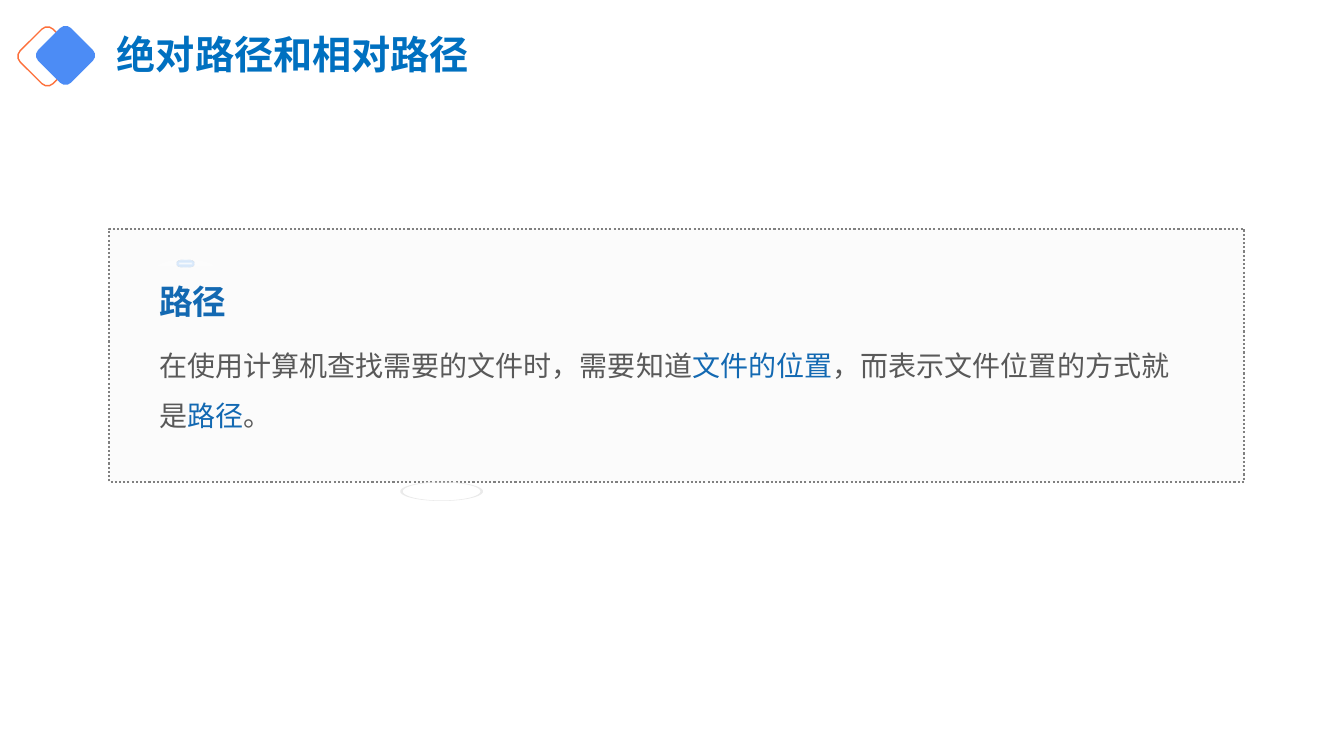
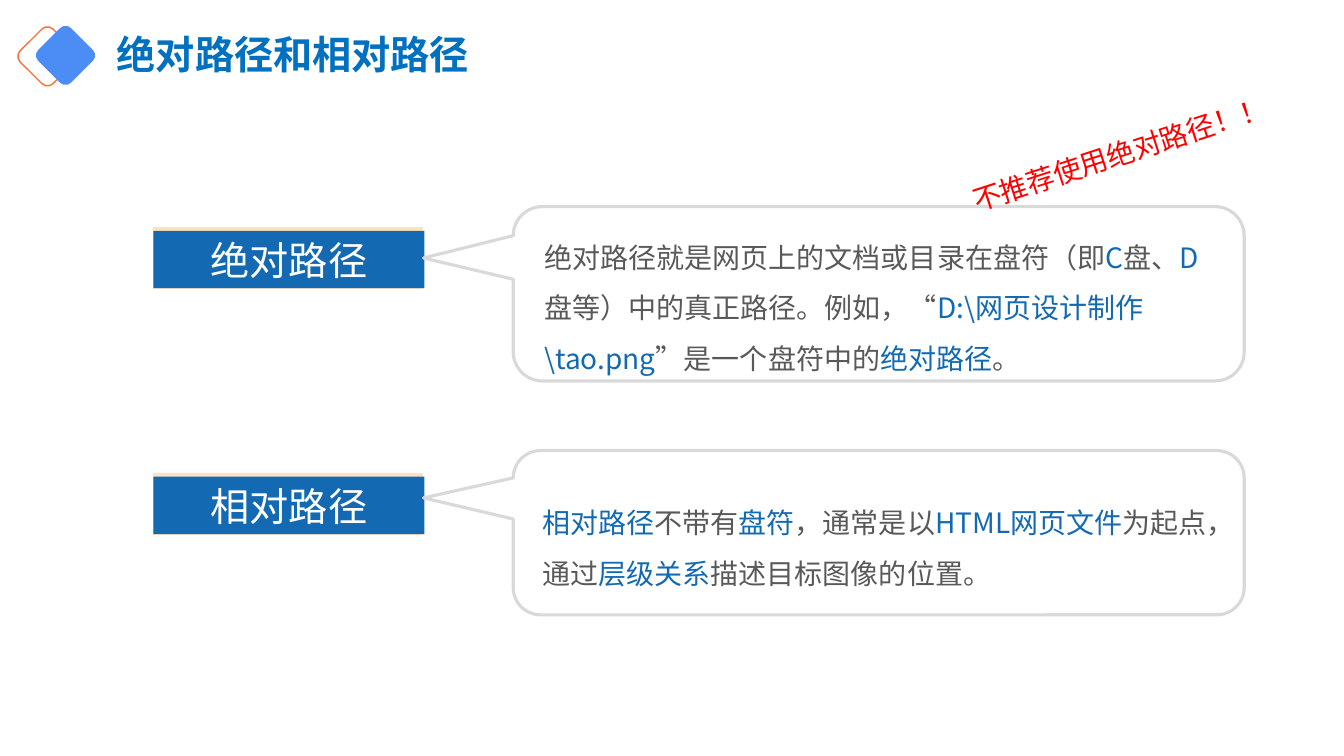
from math import cos, pi, sin

from pptx import Presentation
from pptx.dml.color import RGBColor
from pptx.enum.dml import MSO_LINE
from pptx.enum.lang import MSO_LANGUAGE_ID as Lang
from pptx.enum.shapes import MSO_SHAPE as Preset
from pptx.enum.text import MSO_ANCHOR as Anchor, PP_ALIGN as Align
from pptx.oxml import parse_xml
from pptx.oxml.ns import nsdecls, qn
from pptx.util import Pt

PX = 9144  # EMU per px, 100 px to the inch
FONT = "Noto Sans CJK SC"
TITLE = "绝对路径和相对路径"

TITLE_BLUE = RGBColor(0x00, 0x70, 0xC0)
BLUE = RGBColor(0x13, 0x69, 0xB2)
MARK_BLUE = RGBColor(0x4C, 0x8C, 0xF5)
MARK_ORANGE = RGBColor(0xFD, 0x70, 0x3B)
GLOW_BLUE = RGBColor(0x67, 0xAB, 0xF5)
BODY_GREY = RGBColor(0x59, 0x59, 0x59)
DOT_GREY = RGBColor(0x80, 0x80, 0x80)
PALE_GREY = RGBColor(0xD9, 0xD9, 0xD9)
RING_GREY = RGBColor(0xEA, 0xEA, 0xEA)
CREAM = RGBColor(0xFF, 0xE2, 0xBD)
RED = RGBColor(0xFF, 0x00, 0x00)
WHITE = RGBColor(0xFF, 0xFF, 0xFF)


def emu(*lengths):
    return [round(length * PX) for length in lengths]


def paint(shape, fill=None, line=None, width=1.0):
    """Set fill and outline; None leaves the part empty."""
    shape.shadow.inherit = False
    if fill is None:
        shape.fill.background()
    else:
        shape.fill.solid()
        shape.fill.fore_color.rgb = fill
    if line is None:
        shape.line.fill.background()
    else:
        shape.line.color.rgb = line
        shape.line.width = Pt(width)
    return shape


def add_preset(slide, preset, box, rotation=0, **colours):
    shape = slide.shapes.add_shape(preset, *emu(*box))
    shape.rotation = rotation
    return paint(shape, **colours)


def add_outline(slide, contours, **colours):
    """Draw closed contours, each a list of (x, y) points in px."""
    first, *others = [[tuple(emu(*point)) for point in contour] for contour in contours]
    builder = slide.shapes.build_freeform(*first[0])
    builder.add_line_segments(first[1:], close=True)
    for contour in others:
        builder.move_to(*contour[0])
        builder.add_line_segments(contour[1:], close=True)
    return paint(builder.convert_to_shape(), **colours)


def set_gradient(shape, stops, direction):
    """Replace an empty fill by stops of (position %, colour, opacity %)."""
    stop_xml = "".join(
        f'<a:gs pos="{position * 1000}"><a:srgbClr val="{colour}">'
        f'<a:alpha val="{opacity * 1000}"/></a:srgbClr></a:gs>'
        for position, colour, opacity in stops)
    gradient = parse_xml(f'<a:gradFill {nsdecls("a")} rotWithShape="1">'
                         f'<a:gsLst>{stop_xml}</a:gsLst>{direction}</a:gradFill>')
    properties = shape._element.spPr
    properties.replace(properties.find(qn("a:noFill")), gradient)


def set_opacity(shape, percent):
    colour = shape._element.spPr.find(qn("a:solidFill"))[0]
    colour.append(parse_xml(f'<a:alpha {nsdecls("a")} val="{percent * 1000}"/>'))


def write(paragraph, text, size=20, color=BODY_GREY, accent=BLUE, bold=False,
          align=Align.LEFT, spacing=1.0, after=0):
    """Fill a paragraph; every second piece between | signs takes the accent."""
    paragraph.alignment = align
    paragraph.line_spacing = spacing
    paragraph.space_after = Pt(after)
    for index, piece in enumerate(text.split("|")):
        if not piece:
            continue
        run = paragraph.add_run()
        run.text = piece
        font = run.font
        font.size, font.bold, font.name = Pt(size), bold, FONT
        font.language_id = Lang.SIMPLIFIED_CHINESE
        font.color.rgb = accent if index % 2 else color
        east_asian = parse_xml(f'<a:ea {nsdecls("a")} typeface="{FONT}"/>')
        font._element.find(qn("a:latin")).addnext(east_asian)


def add_text(slide, box, text, anchor=Anchor.TOP, rotation=0, **style):
    holder = slide.shapes.add_textbox(*emu(*box))
    holder.rotation = rotation
    frame = holder.text_frame
    frame.word_wrap = True
    frame.vertical_anchor = anchor
    write(frame.paragraphs[0], text, **style)
    return frame


def add_titled_slide(deck):
    """Blank slide with the paired diamonds and the title."""
    slide = deck.slides.add_slide(deck.slide_layouts[6])
    diamond = Preset.ROUNDED_RECTANGLE
    add_preset(slide, diamond, (24, 33, 46, 46), rotation=45, line=MARK_ORANGE)
    add_preset(slide, diamond, (42, 32, 46, 46), rotation=45, fill=MARK_BLUE)
    add_text(slide, (106, 17, 513, 79), TITLE, anchor=Anchor.MIDDLE,
             size=28, color=TITLE_BLUE, bold=True, spacing=0.9)
    return slide


def ellipse_points(center_x, center_y, radius_x, radius_y, steps=96):
    angles = [2 * pi * step / steps for step in range(steps)]
    return [(center_x + radius_x * sin(angle), center_y - radius_y * cos(angle))
            for angle in angles]


def add_panel_ornaments(slide):
    # Soft white dome
    steps = 48
    offsets = [2 * step / steps - 1 for step in range(steps + 1)]
    dome_points = [(184 + 36 * t, 268 - 11 * (1 - t * t) ** 0.75) for t in offsets]
    dome = add_outline(slide, [dome_points])
    set_gradient(dome, [(0, WHITE, 75), (100, WHITE, 0)], '<a:lin ang="5400000" scaled="0"/>')
    # Small glow
    glow = add_preset(slide, Preset.OVAL, (175, 258, 18, 7))
    set_gradient(glow, [(0, WHITE, 100), (100, GLOW_BLUE, 0)],
                 '<a:path path="shape"><a:fillToRect l="50000" t="50000" r="50000" b="50000"/></a:path>')
    # Thin ring under the panel, thicker at its sides
    center = (438, 487.5)
    add_outline(slide, [ellipse_points(*center, 41, 9.5),
                        ellipse_points(*center, 38.5, 9)[::-1]], fill=RING_GREY)


def add_label(slide, top, text):
    """Blue label over a cream strip that shows along its top."""
    add_preset(slide, Preset.RECTANGLE, (151, top, 270, 64), fill=CREAM, line=WHITE, width=1.5)
    label = add_preset(slide, Preset.RECTANGLE, (152, top + 5, 269, 57), fill=BLUE)
    label.text_frame.vertical_anchor = Anchor.MIDDLE
    write(label.text_frame.paragraphs[0], text, size=28, color=WHITE, align=Align.CENTER)


def add_callout(slide, box, tip):
    """Rounded balloon whose tail ends at tip."""
    left, top, width, height = box
    balloon = add_preset(slide, Preset.ROUNDED_RECTANGULAR_CALLOUT, box,
                         line=PALE_GREY, width=2.25)
    balloon.adjustments[0] = (tip[0] - left - width / 2) / width
    balloon.adjustments[1] = (tip[1] - top - height / 2) / height


def build_definition(deck):
    slide = add_titled_slide(deck)
    panel = add_preset(slide, Preset.RECTANGLE, (108, 227, 1126, 251),
                       fill=PALE_GREY, line=DOT_GREY, width=1.5)
    panel.line.dash_style = MSO_LINE.ROUND_DOT
    set_opacity(panel, 10)
    definition = add_text(slide, (148, 274, 1038, 160), "路径",
                          size=24, color=BLUE, bold=True, after=7)
    write(definition.add_paragraph(),
          "在使用计算机查找需要的文件时，需要知道|文件的位置|，而表示文件位置的方式就是|路径|。",
          spacing=1.5)
    add_panel_ornaments(slide)


def build_comparison(deck):
    slide = add_titled_slide(deck)
    # Label top, label, balloon top and height, tail height, text box, explanation
    kinds = [
        (468, "相对路径", 447, 163, 494, (528, 480, 685, 111),
         "|相对路径|不带有|盘符|，通常是以|HTML网页文件|为起点，通过|层级关系|描述目标图像的位置。"),
        (224, "绝对路径", 205, 173, 256, (530, 217, 682, 161),
         "绝对路径就是网页上的文档或目录在盘符（即|C|盘、|D|盘等）中的真正路径。"
         "例如，“|D:\\网页设计制作\\tao.png|”是一个盘符中的|绝对路径|。"),
    ]
    for label_top, name, top, height, tip_y, text_box, explanation in kinds:
        add_label(slide, label_top, name)
        add_callout(slide, (509, top, 725, height), (420, tip_y))
        add_text(slide, text_box, explanation, spacing=1.5)
    # Slanted warning
    add_text(slide, (948, 128, 342, 44), "不推荐使用绝对路径！！", rotation=342, color=RED)


def main():
    deck = Presentation()
    deck.slide_width, deck.slide_height = emu(1333, 750)
    build_definition(deck)
    build_comparison(deck)
    deck.save("out.pptx")


if __name__ == "__main__":
    main()
